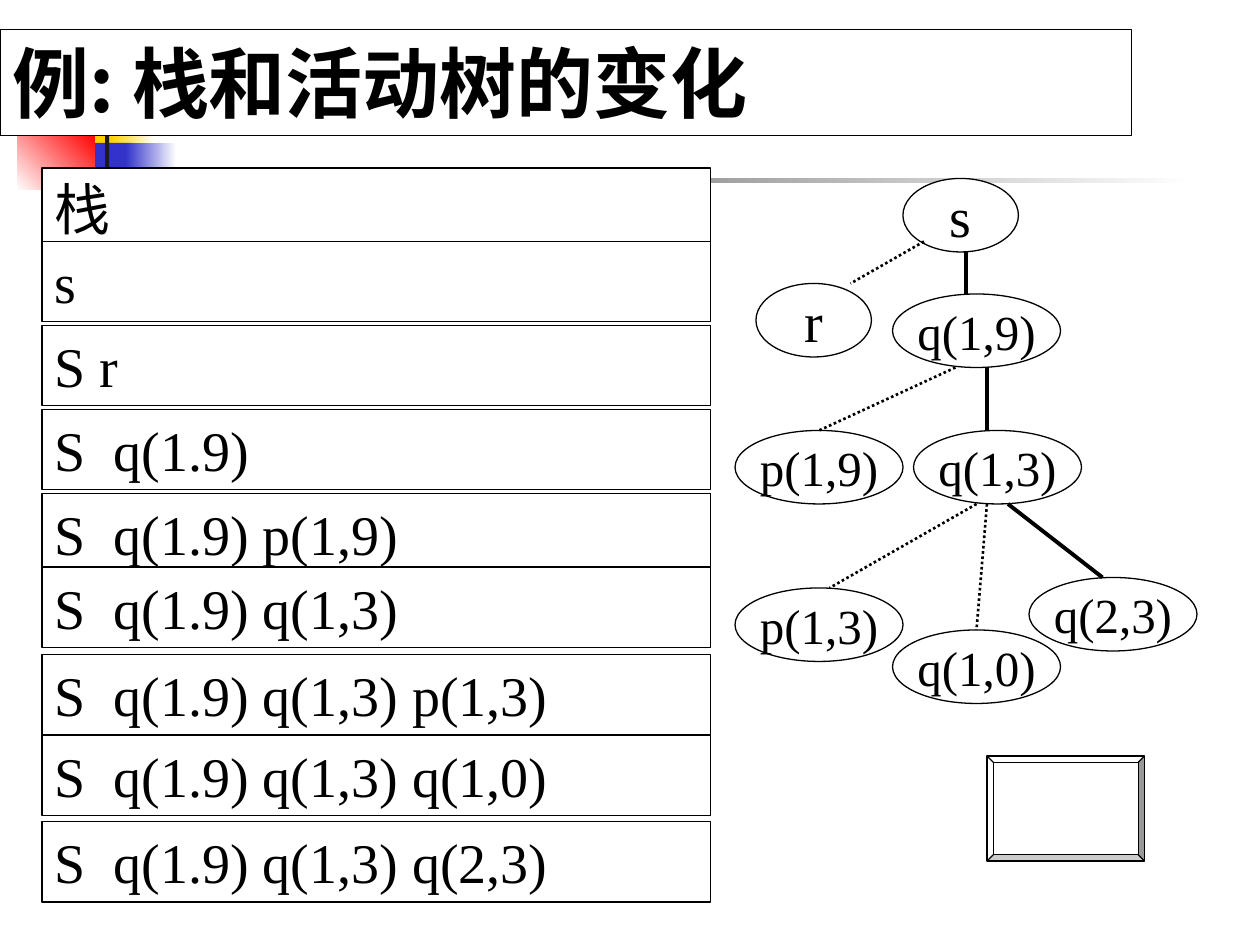
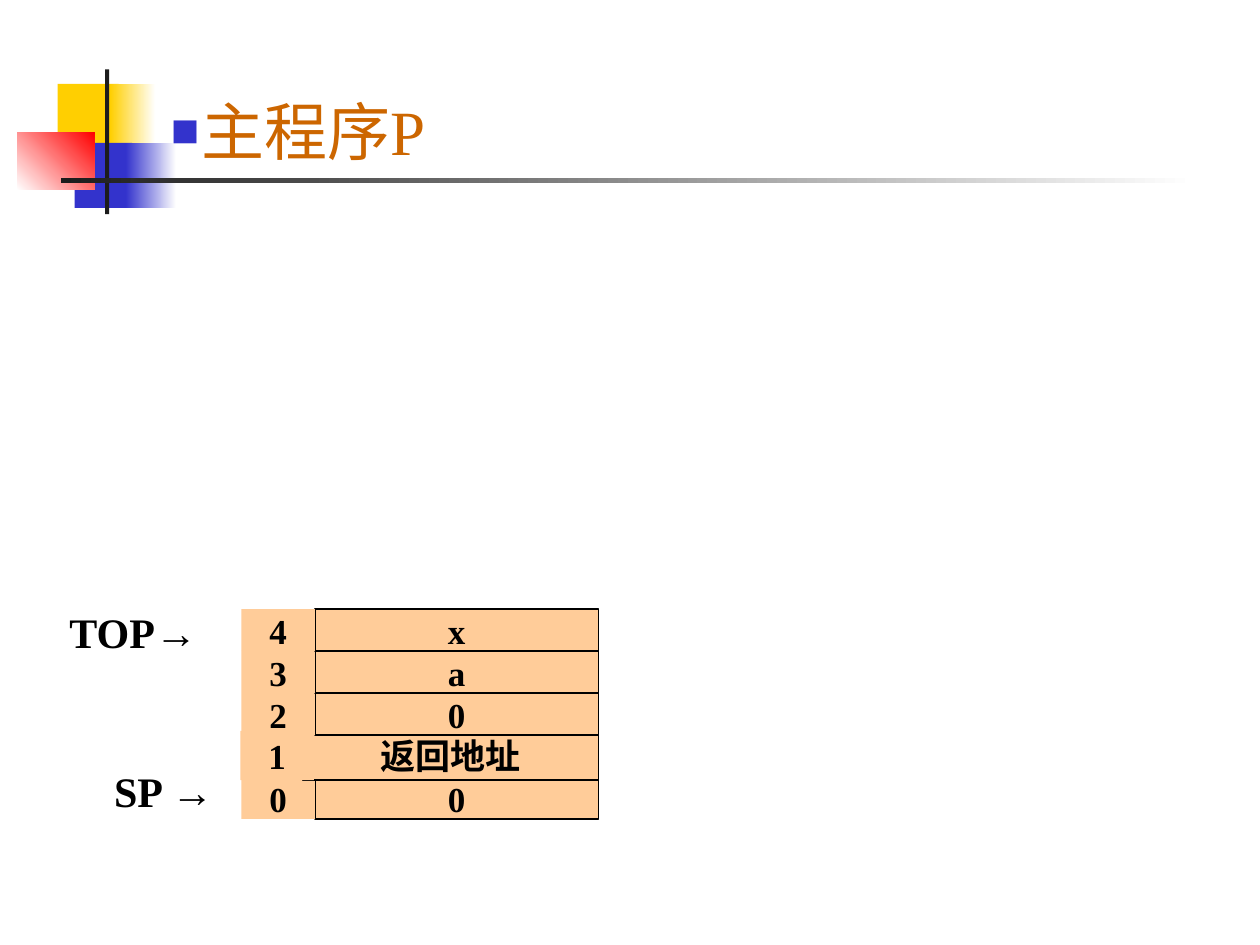
import lxml.etree
import pptx
import pptx.dml.color
import pptx.enum.dml
import pptx.enum.shapes
import pptx.enum.text
import pptx.oxml.ns
import pptx.util

SHAPE = pptx.enum.shapes.MSO_SHAPE
ANCHOR = pptx.enum.text.MSO_ANCHOR
ALIGN = pptx.enum.text.PP_ALIGN
DASH = pptx.enum.dml.MSO_LINE
qn = pptx.oxml.ns.qn

presentation = pptx.Presentation()
presentation.slide_width = pptx.util.Inches(10)
presentation.slide_height = pptx.util.Inches(7.5)
unit = presentation.slide_width / 120  # grid of 120 columns by 90 rows

BLACK, WHITE, PEACH = "000000", "FFFFFF", "FFCC99"
YELLOW, BLUE, RED, DARK = "FFCF01", "3333CC", "FF0000", "1C1C1C"
SERIF, SANS, CJK = "Times New Roman", "Arial", "Noto Sans CJK JP"


def color(hex_string):
    return pptx.dml.color.RGBColor.from_string(hex_string)


def add_box(slide, kind, bounds, text="", fill=None, line=None, size=32, font=SERIF,
            bold=False, ink=BLACK, align=ALIGN.LEFT, anchor=ANCHOR.MIDDLE, wrap=False, inset=0.05):
    """Bounds are grid columns and rows; a kind of None gives a text box."""
    left, top, width, height = [round(value * unit) for value in bounds]
    if kind is None:
        shape = slide.shapes.add_textbox(left, top, width, height)
    else:
        shape = slide.shapes.add_shape(kind, left, top, width, height)
        shape.shadow.inherit = False
        if fill:
            shape.fill.solid()
            shape.fill.fore_color.rgb = color(fill)
        if line:
            shape.line.color.rgb = color(BLACK)
            shape.line.width = pptx.util.Pt(line)
        else:
            shape.line.fill.background()
    frame_format = {
        "word_wrap": wrap, "vertical_anchor": anchor,
        "margin_left": pptx.util.Inches(0.1), "margin_right": pptx.util.Inches(0.1),
        "margin_top": pptx.util.Inches(inset), "margin_bottom": pptx.util.Inches(inset),
    }
    for name, value in frame_format.items():
        setattr(shape.text_frame, name, value)
    paragraph = shape.text_frame.paragraphs[0]
    paragraph.alignment = align
    for piece in filter(None, text.partition("→")):
        run = paragraph.add_run()
        run.text = piece
        font_format = {"name": SANS if piece == "→" else font,
                       "size": pptx.util.Pt(size), "bold": bold}
        for name, value in font_format.items():
            setattr(run.font, name, value)
        run.font.color.rgb = color(ink)
        east_asian = lxml.etree.SubElement(run.font._element, qn("a:ea"))
        east_asian.set("typeface", CJK)
    return shape


# Shared decoration: bounds, first colour, last colour, gradient angle
decorations = [
    ((5.5, 8, 5.8, 6.2), YELLOW, None, 0),
    ((10.5, 8, 4.3, 6.2), YELLOW, WHITE, 0),
    ((7.1, 13.6, 5.5, 6.2), BLUE, None, 0),
    ((12, 13.6, 4.8, 6.2), BLUE, WHITE, 0),
    ((1.65, 12.6, 7.35, 5.5), WHITE, RED, 45),
    ((10, 6.6, 0.4, 13.8), DARK, None, 0),
    ((5.8, 17, 108, 0.48), DARK, WHITE, 0),
]
for _ in range(2):
    slide = presentation.slides.add_slide(presentation.slide_layouts[6])
    for bounds, first, last, angle in decorations:
        band = add_box(slide, SHAPE.RECTANGLE, bounds, fill=first)
        if last:
            band.fill.gradient()
            band.fill.gradient_angle = angle
            for stop, shade in zip(band.fill.gradient_stops, (first, last)):
                stop.color.rgb = color(shade)
stack_slide, program_slide = presentation.slides

# Slide 1: title
add_box(stack_slide, SHAPE.RECTANGLE, (0, 2.8, 107.8, 10.1), "例: 栈和活动树的变化", WHITE, 0.75,
        size=44, font=CJK, bold=True, anchor=ANCHOR.TOP, wrap=True)

# Slide 1: stack contents, one row per step
stack_rows = [
    (16, "栈"),
    (23, "s"),
    (31, "S r"),
    (39, "S\tq(1.9)"),
    (47, "S\tq(1.9) p(1,9)"),
    (54, "S\tq(1.9) q(1,3)"),
    (62.3, "S\tq(1.9) q(1,3) p(1,3)"),
    (70, "S\tq(1.9) q(1,3) q(1,0)"),
    (78.25, "S\tq(1.9) q(1,3) q(2,3)"),
]
for top, text in stack_rows:
    row = add_box(stack_slide, SHAPE.RECTANGLE, (4, top, 63.7, 7.65), text, WHITE, 0.75,
                  anchor=ANCHOR.TOP, wrap=True)
    if "\t" in text:
        properties = row.text_frame.paragraphs[0]._p.get_or_add_pPr()
        tabs = lxml.etree.SubElement(properties, qn("a:tabLst"))
        tab = lxml.etree.SubElement(tabs, qn("a:tab"))
        tab.set("pos", str(pptx.util.Inches(0.47)))
        tab.set("algn", "l")

# Slide 1: activation tree nodes
nodes = {}
for text, left, top in [("s", 86, 17), ("r", 72, 27), ("q(1,9)", 85, 28), ("p(1,9)", 70, 41),
                        ("q(1,3)", 87, 41), ("p(1,3)", 70, 56), ("q(1,0)", 85, 60),
                        ("q(2,3)", 98, 55)]:
    width, size = (11, 32) if len(text) == 1 else (16, 28)
    nodes[text] = add_box(stack_slide, SHAPE.OVAL, (left, top, width, 7), text, WHITE, 0.75,
                          size=size, align=ALIGN.CENTER)

# Slide 1: tree edges; solid ones lead to live activations
edges = [
    ("r", 88, 23, 81, 27, False),
    ("q(1,9)", 92, 24, 92, 28, True),
    ("p(1,9)", 91, 35, 78, 41, False),
    ("q(1,3)", 94, 35, 94, 41, True),
    ("p(1,3)", 93, 48, 79, 56, False),
    ("q(1,0)", 94, 48, 93, 60, False),
    ("q(2,3)", 96, 48, 105, 55, True),
]
for child, *ends, live in edges:
    edge = stack_slide.shapes.add_connector(pptx.enum.shapes.MSO_CONNECTOR.STRAIGHT,
                                            *[round(value * unit) for value in ends])
    node = nodes[child]
    if abs(node.left + node.width / 2 - edge.end_x) < unit / 10:
        edge.end_connect(node, 0)
    edge.line.color.rgb = color(BLACK)
    edge.line.width = pptx.util.Pt(2.25 if live else 1.5)
    if not live:
        edge.line.dash_style = DASH.ROUND_DOT
    lxml.etree.SubElement(edge._element.spPr, qn("a:effectLst"))

# Slide 1: blank button
button = add_box(stack_slide, SHAPE.BEVEL, (94, 72, 15, 10), fill=WHITE, line=0.75)
button.adjustments[0] = 0.06

# Slide 2: memory cells from address 0 upward
for address, value in enumerate(["0", "返回地址", "0", "a", "x"]):
    top, height, index_left, value_left = 74 - 4 * address, 4, 23, 30
    if address == 1:
        top, height, index_left, value_left = 69.6, 4.7, 22.9, 28.8
    cell_format = {"fill": PEACH, "size": 20, "bold": True, "align": ALIGN.CENTER, "inset": 0}
    add_box(program_slide, SHAPE.RECTANGLE, (value_left, top, 57 - value_left, height),
            value, line=1, **cell_format)
    add_box(program_slide, SHAPE.RECTANGLE, (index_left, top, 7, height),
            str(address), **cell_format)

# Slide 2: stack pointers
for text, left, top in [("SP →", 7.1, 73.3), ("TOP→", 4.2, 58.2)]:
    add_box(program_slide, None, (left, top, 17, 4), text, size=24, bold=True, align=ALIGN.CENTER)

# Slide 2: bulleted title
heading = add_box(program_slide, None, (15.1, 2.8, 102.2, 19.2), "主程序P", size=36,
                  ink="CC6600", wrap=True)
properties = heading.text_frame.paragraphs[0]._p.get_or_add_pPr()
indent = pptx.util.Inches(0.24)
properties.set("marL", str(indent))
properties.set("indent", str(-indent))
bullet_color = lxml.etree.SubElement(properties, qn("a:buClr"))
lxml.etree.SubElement(bullet_color, qn("a:srgbClr")).set("val", BLUE)
for tag, name, value in [("a:buSzPct", "val", "75000"), ("a:buFont", "typeface", SANS),
                         ("a:buChar", "char", "■")]:
    lxml.etree.SubElement(properties, qn(tag)).set(name, value)

presentation.save("out.pptx")
